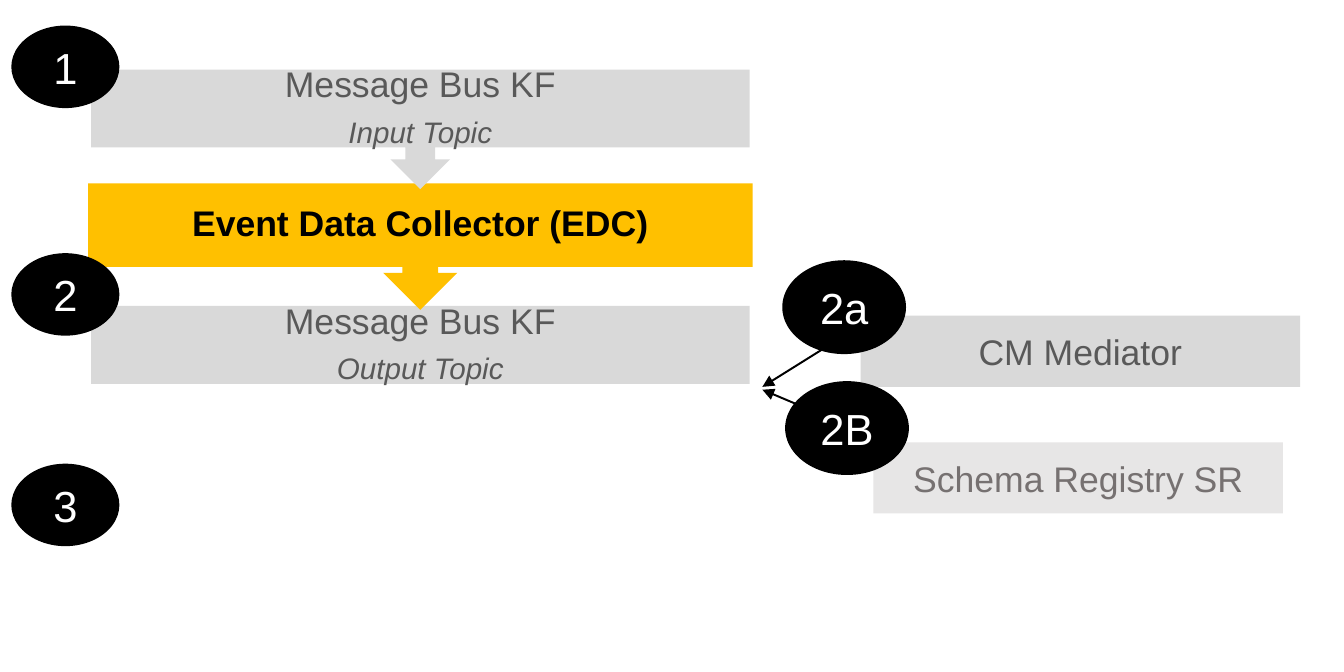
"""Build the event data collector flow slide."""
from dataclasses import dataclass

from lxml.etree import SubElement
from pptx import Presentation
from pptx.dml.color import RGBColor
from pptx.enum.shapes import MSO_CONNECTOR as Link, MSO_SHAPE as Kind
from pptx.enum.text import MSO_ANCHOR as Anchor, PP_ALIGN as Align
from pptx.oxml.ns import qn
from pptx.util import Inches, Pt


@dataclass(frozen=True)
class Theme:
    font: str = "Arial"
    gray: str = "D9D9D9"
    pale: str = "E7E6E6"
    gold: str = "FFC000"
    black: str = "000000"
    white: str = "FFFFFF"
    text: str = "595959"
    soft: str = "767171"
    head: int = 18
    sub: int = 15
    mark: int = 22


LOOK = Theme()
SIDES = [
    ("CM Mediator", (6.05, 2.22, 3.09, 0.5), LOOK.gray, LOOK.text),
    ("Schema Registry SR", (6.14, 3.11, 2.88, 0.5), LOOK.pale, LOOK.soft),
]
STAGES = [
    (["Message Bus KF", "Output Topic"], Kind.RECTANGLE, 2.15, 0.55, LOOK.gray),
    (["Event Data Collector (EDC)"], Kind.DOWN_ARROW_CALLOUT, 1.31, 0.84, LOOK.gold),
    (["Message Bus KF", "Input Topic"], Kind.DOWN_ARROW_CALLOUT, 0.49, 0.84, LOOK.gray),
]
ARROWS = [(5.36, 2.72, 5.92, 2.37), (5.36, 2.74, 5.95, 2.99)]
STEPS = [("1", 0.18), ("2", 1.78), ("3", 3.26)]
NOTES = [("2a", 5.5, 1.83), ("2B", 5.52, 2.68)]
STAGE_X, STAGE_W = 0.64, 4.63
STEP_X, STEP_SIZE, NOTE_SIZE = 0.08, (0.76, 0.58), (0.87, 0.66)
WIDE_CM, HIGH_CM, CM_PER_INCH = 24, 12, 2.54


def rgb(code):
    return RGBColor.from_string(code)


def add_box(slide, kind, area, fill, lines, color, size=LOOK.head, pad=0.0):
    box = slide.shapes.add_shape(kind, *map(Inches, area))
    box.shadow.inherit = False
    box.fill.solid()
    box.fill.fore_color.rgb = rgb(fill)
    box.line.fill.background()
    frame = box.text_frame
    frame.word_wrap = True
    frame.vertical_anchor = Anchor.MIDDLE
    frame.margin_left = frame.margin_right = Inches(pad)
    frame.margin_top = frame.margin_bottom = Inches(pad)
    frame.text = "\n".join(lines)
    for para in frame.paragraphs:
        para.alignment = Align.CENTER
        para.font.name = LOOK.font
        para.font.size = Pt(size)
        para.font.color.rgb = rgb(color)
    return box


def add_stage(slide, lines, kind, top, high, fill):
    gold = fill == LOOK.gold
    color = LOOK.black if gold else LOOK.text
    area = (STAGE_X, top, STAGE_W, high)
    box = add_box(slide, kind, area, fill, lines, color, pad=0.14)
    if gold:
        box.line.color.rgb = rgb(fill)
        box.line.width = Pt(3)
        SubElement(box.line._get_or_add_ln(), qn("a:miter"), lim="800000")
    for row, para in enumerate(box.text_frame.paragraphs):
        size = LOOK.sub if row else LOOK.head
        para.font.size = Pt(size)
        para.font.bold = gold
        para.font.italic = row > 0
        para.line_spacing = 0.9
        para.space_after = Pt(round(size * 0.35, 1))


def add_arrow(slide, ends):
    line = slide.shapes.add_connector(Link.STRAIGHT, *map(Inches, ends))
    line.line.color.rgb = rgb(LOOK.black)
    line.line.width = Pt(1)
    stroke = line.line._get_or_add_ln()
    for tag in ("a:headEnd", "a:tailEnd"):
        SubElement(stroke, qn(tag), type="triangle")
    SubElement(line._element.spPr, qn("a:effectLst"))


def main():
    deck = Presentation()
    deck.slide_width = Inches(WIDE_CM / CM_PER_INCH)
    deck.slide_height = Inches(HIGH_CM / CM_PER_INCH)
    slide = deck.slides.add_slide(deck.slide_layouts[6])
    for name, area, fill, color in SIDES:
        add_box(slide, Kind.RECTANGLE, area, fill, [name], color)
    for stage in STAGES:
        add_stage(slide, *stage)
    for ends in ARROWS:
        add_arrow(slide, ends)
    marks = [(name, (STEP_X, top, *STEP_SIZE)) for name, top in STEPS]
    marks += [(name, (left, top, *NOTE_SIZE)) for name, left, top in NOTES]
    for name, area in marks:
        add_box(slide, Kind.OVAL, area, LOOK.black, [name], LOOK.white, LOOK.mark)
    deck.save("out.pptx")


if __name__ == "__main__":
    main()
